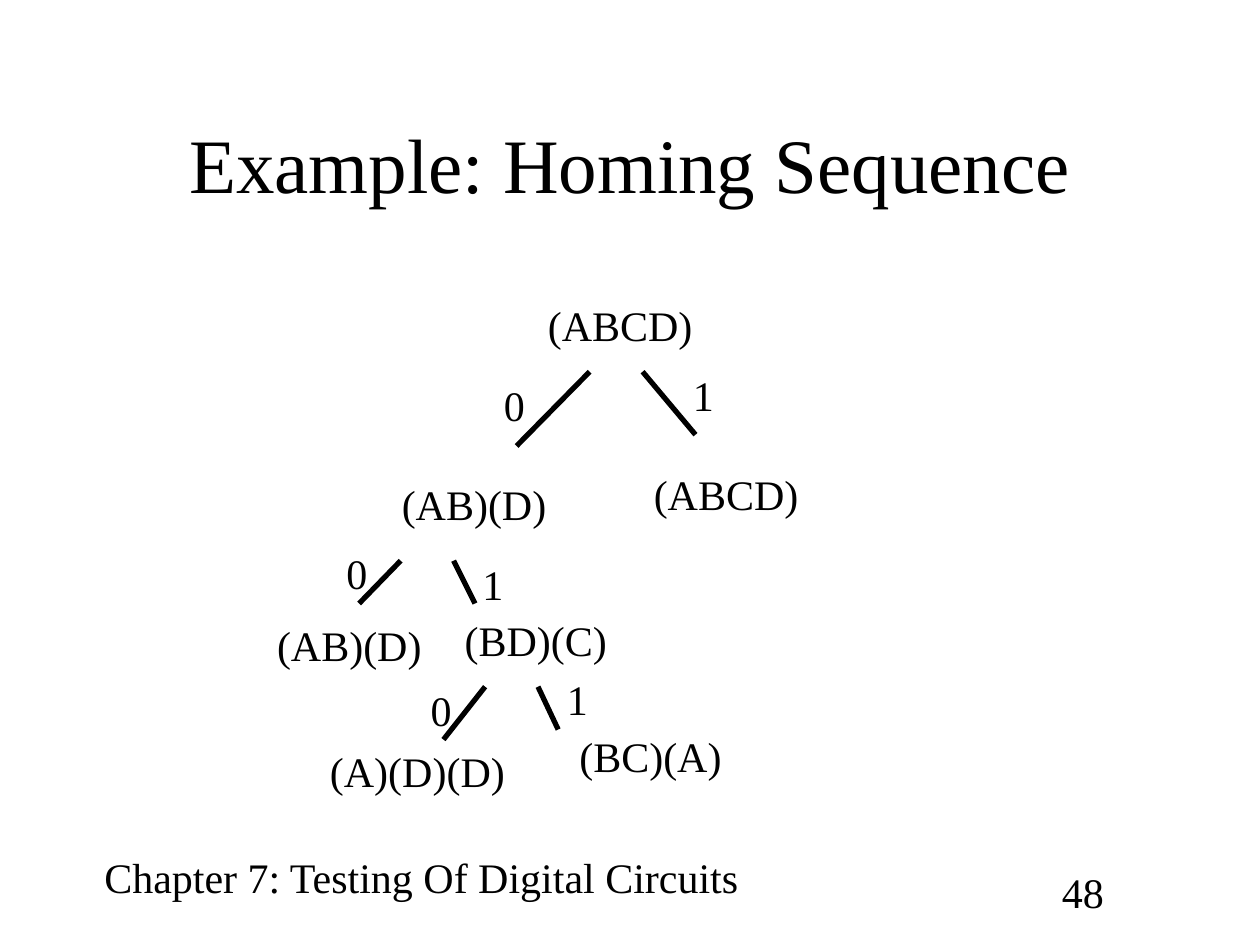
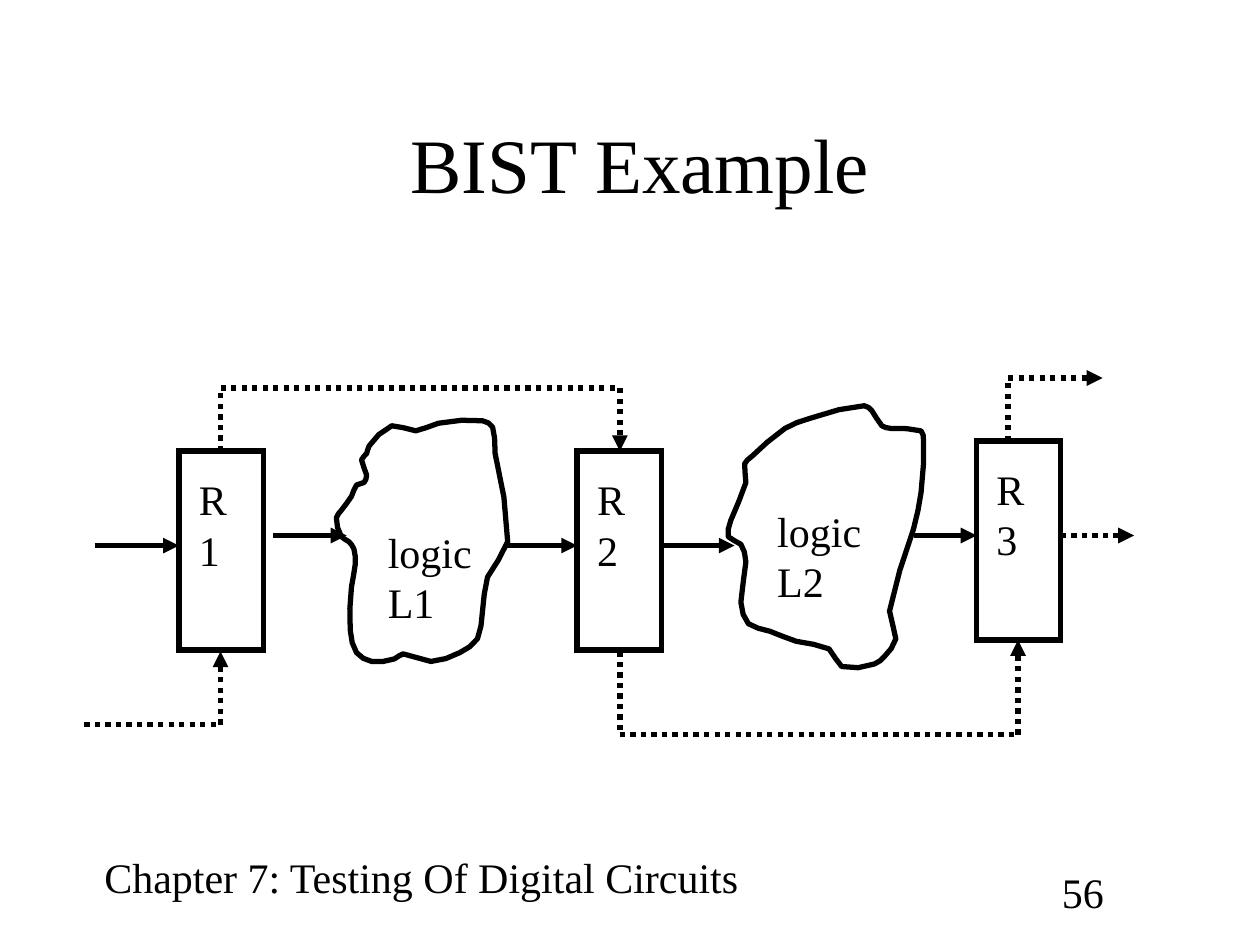
from dataclasses import dataclass
from itertools import pairwise
from math import dist

from lxml import etree
from pptx import Presentation
from pptx.dml.color import RGBColor
from pptx.enum import dml, shapes, text
from pptx.oxml import ns
from pptx.util import Inches, Pt


@dataclass(frozen=True)
class Theme:
    ink: RGBColor = RGBColor(0, 0, 0)
    font: str = "Times New Roman"
    title_size: int = 44
    text_size: int = 24
    line_width: int = 3


THEME = Theme()
TITLE_ONLY = 5
FOOTER = "Chapter 7: Testing Of Digital Circuits"

# Homing tree: state sets as (text, left, top, width)
STATE_SETS = [
    ("(ABCD)", 4.25, 2.33, 1.35),
    ("(AB)(D)", 3.09, 3.75, 1.35),
    ("(ABCD)", 5.09, 3.67, 1.35),
    ("(AB)(D)", 2.1, 4.87, 1.35),
    ("(BD)(C)", 3.59, 4.83, 1.33),
    ("(A)(D)(D)", 2.52, 5.87, 1.59),
    ("(BC)(A)", 4.5, 5.75, 1.33),
]
# Branches as (input bit, label left and top, line start, line end)
BRANCHES = [
    ("0", (3.9, 2.96), (4.68, 2.95), (4.1, 3.54)),
    ("1", (5.4, 2.88), (5.1, 2.95), (5.52, 3.45)),
    ("0", (2.65, 4.3), (3.18, 4.45), (2.85, 4.79)),
    ("1", (3.73, 4.38), (3.6, 4.45), (3.77, 4.79)),
    ("0", (3.32, 5.38), (3.85, 5.45), (3.52, 5.87)),
    ("1", (4.4, 5.3), (4.27, 5.45), (4.43, 5.79)),
]

# Outlines of the logic clouds, joined by a smooth curve
CLOUD_L1 = [
    (2.83, 3.85), (2.79, 3.94), (2.71, 4.05), (2.67, 4.11), (2.71, 4.26),
    (2.77, 4.3), (2.81, 4.36), (2.82, 4.48), (2.79, 4.66), (2.78, 5.0),
    (2.83, 5.18), (2.95, 5.25), (3.13, 5.23), (3.2, 5.19), (3.42, 5.25),
    (3.65, 5.18), (3.79, 5.07), (3.83, 4.85), (3.87, 4.58), (4.03, 4.3),
    (3.93, 3.6), (3.91, 3.39), (3.83, 3.34), (3.48, 3.36), (3.3, 3.42),
    (3.11, 3.38), (2.93, 3.54), (2.91, 3.6), (2.87, 3.65), (2.91, 3.77),
    (2.89, 3.83),
]
CLOUD_L2 = [
    (5.91, 3.68), (5.92, 3.83), (5.8, 4.13), (5.78, 4.26), (5.88, 4.32),
    (5.92, 4.46), (5.88, 4.78), (5.94, 4.95), (6.11, 5.01), (6.32, 5.09),
    (6.58, 5.15), (6.68, 5.29), (6.94, 5.27), (7.02, 5.21), (7.11, 5.07),
    (7.06, 4.85), (7.25, 4.2), (7.31, 3.91), (7.33, 3.5), (7.31, 3.42),
    (7.07, 3.4), (7.0, 3.38), (6.92, 3.26), (6.86, 3.22), (6.43, 3.32),
    (6.23, 3.4), (5.97, 3.62),
]


def style_text(frame, size):
    for paragraph in frame.paragraphs:
        for run in paragraph.runs:
            run.font.name = THEME.font
            run.font.size = Pt(size)
            run.font.color.rgb = THEME.ink


def style_line(line):
    line.color.rgb = THEME.ink
    line.width = Pt(THEME.line_width)


def add_label(slide, words, left, top, width, height=0.5):
    box = slide.shapes.add_textbox(*map(Inches, (left, top, width, height)))
    frame = box.text_frame
    frame.text = words
    frame.word_wrap = False
    frame.auto_size = text.MSO_AUTO_SIZE.SHAPE_TO_FIT_TEXT
    style_text(frame, THEME.text_size)


def add_line(slide, start, end, arrow=False, dotted=False):
    connector = slide.shapes.add_connector(
        shapes.MSO_CONNECTOR.STRAIGHT, *map(Inches, (*start, *end)))
    style_line(connector.line)
    if dotted:
        connector.line.dash_style = dml.MSO_LINE.ROUND_DOT
    properties = connector.element.spPr
    if arrow:
        outline = properties.find(ns.qn("a:ln"))
        etree.SubElement(outline, ns.qn("a:tailEnd"), type="triangle")
    etree.SubElement(properties, ns.qn("a:effectLst"))


def add_scan_route(slide, *points):
    """Dotted route with an arrowhead on its last leg."""
    for start, end in pairwise(points):
        add_line(slide, start, end, arrow=end == points[-1], dotted=True)


def style_outline(shape):
    shape.shadow.inherit = False
    shape.fill.background()
    style_line(shape.line)


def add_register(slide, name, left, top):
    box = slide.shapes.add_shape(
        shapes.MSO_SHAPE.RECTANGLE, *map(Inches, (left, top, 0.67, 1.58)))
    style_outline(box)
    # Square corners
    outline = box.element.spPr.find(ns.qn("a:ln"))
    etree.SubElement(outline, ns.qn("a:miter"), lim="800000")
    add_label(slide, name, left + 0.06, top + 0.13, 0.42, 0.9)


def smooth_curve(points, steps=2):
    """Closed centripetal Catmull-Rom curve through the points."""
    def blend(a, b, start, end, time):
        share = (time - start) / (end - start)
        return tuple(p + (q - p) * share for p, q in zip(a, b))

    curve = []
    for index in range(len(points)):
        a, b, c, d = (points[(index + k) % len(points)] for k in (-1, 0, 1, 2))
        t1 = dist(a, b) ** 0.5
        t2 = t1 + dist(b, c) ** 0.5
        t3 = t2 + dist(c, d) ** 0.5
        for step in range(steps):
            time = t1 + (t2 - t1) * step / steps
            ab = blend(a, b, 0, t1, time)
            bc = blend(b, c, t1, t2, time)
            cd = blend(c, d, t2, t3, time)
            curve.append(blend(blend(ab, bc, 0, t2, time),
                               blend(bc, cd, t1, t3, time), t1, t2, time))
    return curve


def add_cloud(slide, name, outline, left, top):
    first, *rest = [(Inches(x), Inches(y)) for x, y in smooth_curve(outline)]
    builder = slide.shapes.build_freeform(*first)
    builder.add_line_segments(rest, close=True)
    style_outline(builder.convert_to_shape())
    add_label(slide, name, left, top, 0.9, 0.9)


def add_slide(presentation, title, number, title_left=0.75):
    slide = presentation.slides.add_slide(
        presentation.slide_layouts[TITLE_ONLY])
    heading = slide.shapes.title
    heading.left, heading.top = Inches(title_left), Inches(0.67)
    heading.width, heading.height = Inches(8.5), Inches(1.25)
    frame = heading.text_frame
    frame.text = title
    frame.vertical_anchor = text.MSO_ANCHOR.MIDDLE
    frame.paragraphs[0].alignment = text.PP_ALIGN.CENTER
    style_text(frame, THEME.title_size)
    # Footer and slide number
    add_label(slide, FOOTER, 0.73, 6.71, 5.26)
    add_label(slide, number, 8.33, 6.83, 0.92)
    return slide


def add_homing_slide(presentation):
    slide = add_slide(presentation, "Example: Homing Sequence", "48")
    for words, left, top, width in STATE_SETS:
        add_label(slide, words, left, top, width)
    for bit, position, start, end in BRANCHES:
        add_line(slide, start, end)
        add_label(slide, bit, *position, 0.36)


def add_bist_slide(presentation):
    slide = add_slide(presentation, "BIST Example", "56", title_left=0.83)
    # Registers and logic blocks
    for name, left, top in [("R\n1", 1.42, 3.58), ("R\n2", 4.58, 3.58),
                            ("R\n3", 7.75, 3.5)]:
        add_register(slide, name, left, top)
    add_cloud(slide, "logic\nL1", CLOUD_L1, 2.98, 4.13)
    add_cloud(slide, "logic\nL2", CLOUD_L2, 6.07, 3.96)
    # Data flow
    for start, end, y in [(0.75, 1.42, 4.33), (2.17, 2.75, 4.25),
                          (4, 4.58, 4.33), (5.25, 5.83, 4.33),
                          (7.25, 7.75, 4.25)]:
        add_line(slide, (start, y), (end, y), arrow=True)
    # Scan paths
    add_scan_route(slide, (8.42, 4.25), (9, 4.25))
    add_scan_route(slide, (0.67, 5.75), (1.75, 5.75), (1.75, 5.17))
    add_scan_route(slide, (1.75, 3.58), (1.75, 3.08), (4.92, 3.08),
                   (4.92, 3.58))
    add_scan_route(slide, (4.92, 5.17), (4.92, 5.83), (8.08, 5.83),
                   (8.08, 5.08))
    add_scan_route(slide, (8, 3.5), (8, 3), (8.75, 3))


def main():
    presentation = Presentation()
    presentation.slide_width = Inches(10)
    presentation.slide_height = Inches(7.5)
    add_homing_slide(presentation)
    add_bist_slide(presentation)
    presentation.save("out.pptx")


if __name__ == "__main__":
    main()
